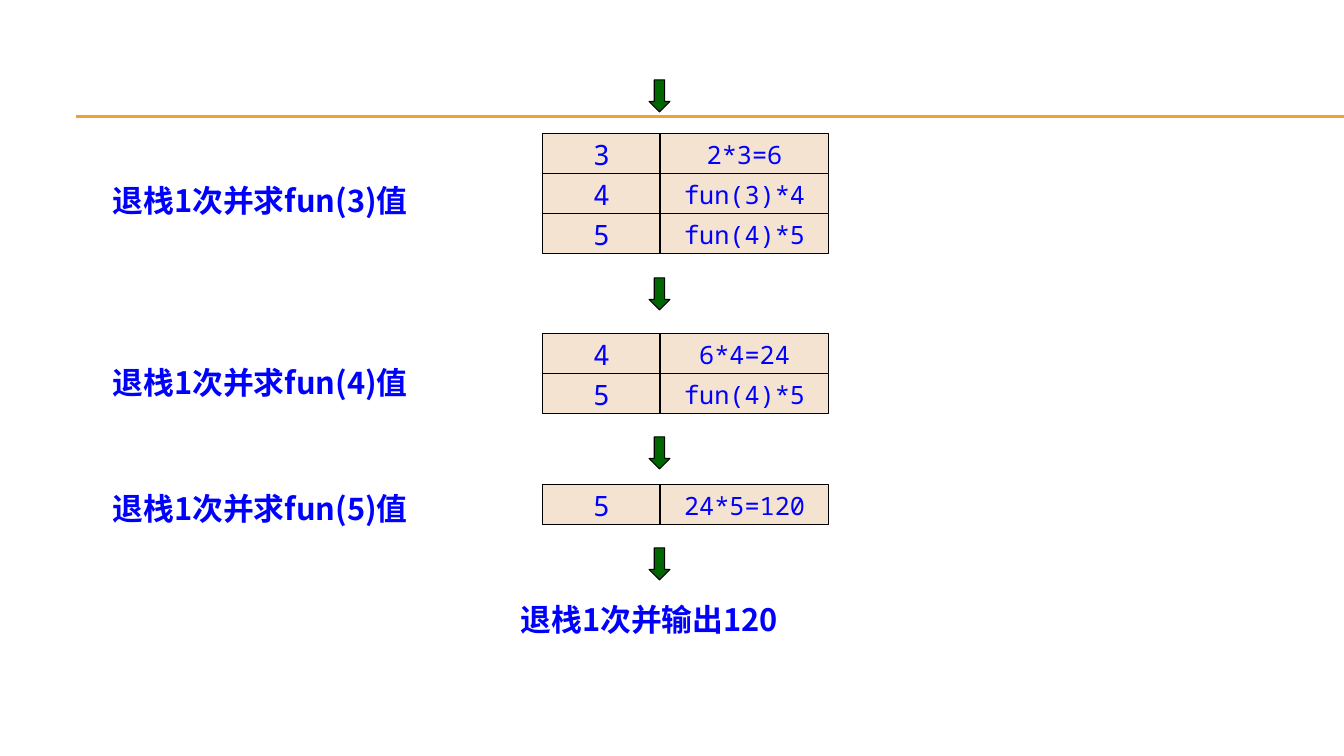
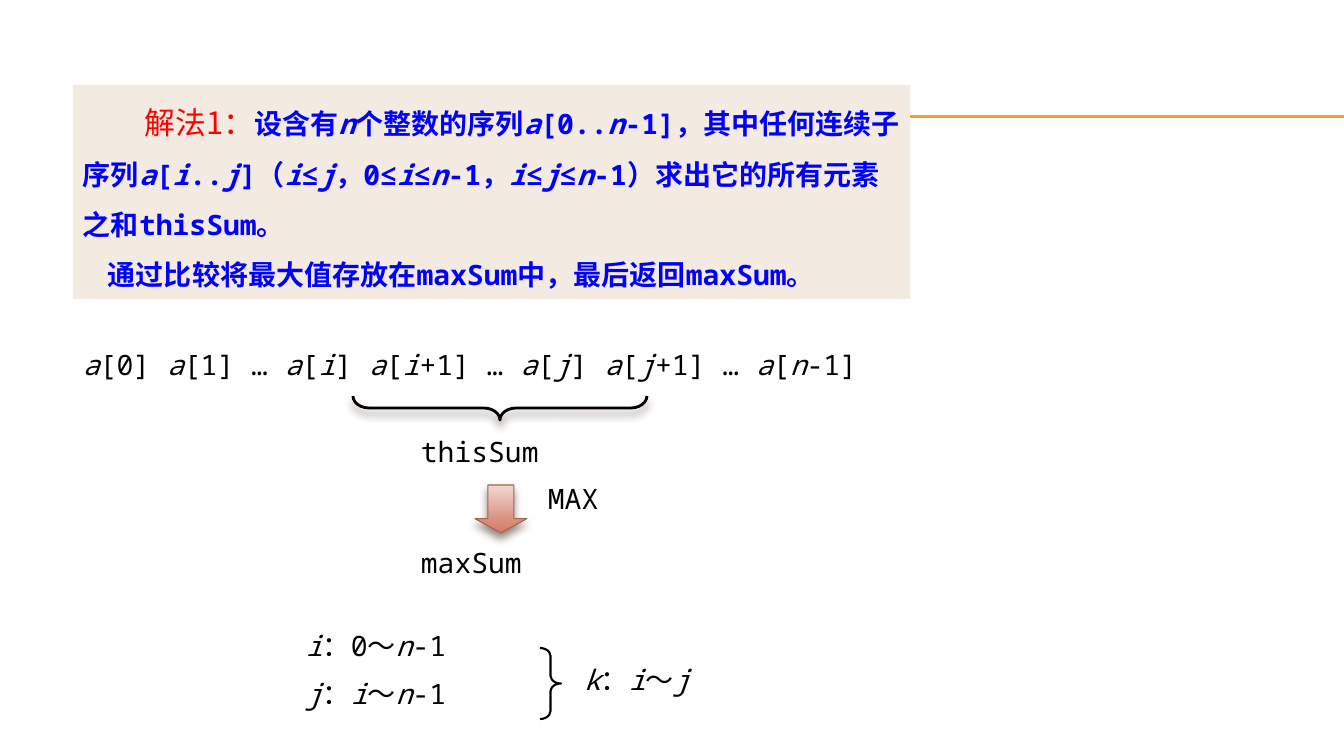
"""Builds two slides: unwinding a recursion stack, and the maximum subsequence sum."""
from copy import deepcopy

from lxml import etree
from pptx import Presentation
from pptx import util as u
from pptx.dml.color import RGBColor
from pptx.enum import shapes, text
from pptx.oxml.ns import qn

EMU_PER_PX = 914400 / 100.8
SLIDE_W, SLIDE_H = 1344, 756
SANS, MONO = "Noto Sans CJK SC", "Noto Sans Mono"
BLUE = RGBColor(0x00, 0x00, 0xFF)
RED = RGBColor(0xFF, 0x00, 0x00)
BLACK = RGBColor(0x00, 0x00, 0x00)
GREEN = RGBColor(0x00, 0x66, 0x00)
GOLD = RGBColor(0xF0, 0xA2, 0x2E)
CELL_FILL = RGBColor(0xF5, 0xE3, 0xD1)
PANEL_FILL = RGBColor(0xF3, 0xEA, 0xE2)
RUST = RGBColor(0xA5, 0x64, 0x4E)
RUST_STOPS = [(0, RGBColor(0xF1, 0xD9, 0xD4)),
              (0.72, RGBColor(0xD8, 0x91, 0x80)),
              (1, RGBColor(0xD4, 0x7A, 0x62))]
SHADOW = RGBColor(0x4E, 0x3B, 0x30)
SHAPE = shapes.MSO_SHAPE


def px(n):
    """Turn pixels into EMU."""
    return u.Emu(round(n * EMU_PER_PX))


def add_run(p, content, size, color, font=MONO, bold=False, italic=False):
    """Add one formatted run, with the CJK font for East Asian characters."""
    r = p.add_run()
    r.text = content
    f = r.font
    f.size, f.bold, f.italic, f.name = u.Pt(size), bold, italic, font
    f.color.rgb = color
    latin = r._r.get_or_add_rPr().find(qn("a:latin"))
    ea = etree.Element(qn("a:ea"), typeface=SANS)
    latin.addnext(ea)


def add_marked(p, content, color, bold=False):
    """Add 20 pt code-style runs; parts between underscores are italic."""
    for i, part in enumerate(content.split("_")):
        if part:
            add_run(p, part, 20, color, bold=bold, italic=i % 2 == 1)


def add_box(s, x, y, w, h):
    """Add a wrapping text box that grows with its text."""
    sp = s.shapes.add_textbox(px(x), px(y), px(w), px(h))
    sp.text_frame.word_wrap = True
    sp.text_frame.auto_size = text.MSO_AUTO_SIZE.SHAPE_TO_FIT_TEXT
    return sp


def add_caption(s, x, y, w, content):
    """Add a bold blue step caption."""
    tf = add_box(s, x, y, w, 47).text_frame
    add_run(tf.paragraphs[0], content, 22, BLUE, SANS, bold=True)


def add_formula(s, x, y, w, h, *lines):
    """Add black code-style lines with variables in italics."""
    tf = add_box(s, x, y, w, h).text_frame
    for i, content in enumerate(lines):
        p = tf.add_paragraph() if i else tf.paragraphs[0]
        if i:
            p.space_before = u.Pt(10)
        add_marked(p, content, BLACK)


def add_outline(s, kind, x, y, w, h, color=BLACK, weight=0.75, fill=None, adj=()):
    """Add a preset shape with a line and an optional solid fill."""
    sp = s.shapes.add_shape(kind, px(x), px(y), px(w), px(h))
    sp.shadow.inherit = False
    sp.line.color.rgb, sp.line.width = color, u.Pt(weight)
    if fill is None:
        sp.fill.background()
    else:
        sp.fill.solid()
        sp.fill.fore_color.rgb = fill
    for i, value in enumerate(adj):
        sp.adjustments[i] = value
    return sp


def add_soft_shadow(sp):
    """Give a shape a soft shadow straight below it."""
    effects = sp.element.spPr.find(qn("a:effectLst"))
    outer = etree.SubElement(effects, qn("a:outerShdw"), blurRad=str(u.Pt(6)),
                             dist=str(u.Pt(4)), dir="5400000", rotWithShape="0")
    color = etree.SubElement(outer, qn("a:srgbClr"), val=str(SHADOW))
    etree.SubElement(color, qn("a:alpha"), val="60000")


def fill_gradient(sp, stops):
    """Fill a shape from top to bottom with three colour stops."""
    sp.fill.gradient()
    sp.fill.gradient_angle = 270
    gs_list = sp.element.spPr.find(qn("a:gradFill")).find(qn("a:gsLst"))
    gs_list.append(deepcopy(gs_list[-1]))
    for stop, (position, color) in zip(sp.fill.gradient_stops, stops):
        stop.position, stop.color.rgb = position, color


def add_stack(s, top, frames):
    """Add a stack of two-cell frames: argument and expression."""
    columns = [(543, 117, 20), (660, 169, 18)]
    for row, frame in enumerate(frames):
        for (x, w, size), content in zip(columns, frame):
            sp = add_outline(s, SHAPE.RECTANGLE, x, top + 40 * row, w, 40, fill=CELL_FILL)
            tf = sp.text_frame
            tf.word_wrap = False
            tf.vertical_anchor = text.MSO_ANCHOR.MIDDLE
            p = tf.paragraphs[0]
            p.alignment = text.PP_ALIGN.CENTER
            add_run(p, content, size, BLUE)


def add_master_rule(prs, s):
    """Draw the double gold rule and move it to the slide master."""
    for i, y in enumerate((116, 117)):
        line = s.shapes.add_connector(shapes.MSO_CONNECTOR.STRAIGHT,
                                      px(76), px(y), px(SLIDE_W), px(y))
        line.line.color.rgb, line.line.width = GOLD, u.Pt(0.75)
        etree.SubElement(line.element.spPr, qn("a:effectLst"))
        line.element.nvCxnSpPr.cNvPr.id = 20 + i
        prs.slide_master.shapes.element.append(line.element)


def build_stack_slide(s):
    """Show the stack being popped until the result is printed."""
    stacks = [
        (134, 177, "退栈1次并求fun(3)值", [("3", "2*3=6"), ("4", "fun(3)*4"), ("5", "fun(4)*5")]),
        (334, 359, "退栈1次并求fun(4)值", [("4", "6*4=24"), ("5", "fun(4)*5")]),
        (485, 485, "退栈1次并求fun(5)值", [("5", "24*5=120")]),
    ]
    for top, caption_top, caption, frames in stacks:
        add_stack(s, top, frames)
        add_caption(s, 103, caption_top, 430, caption)
    add_caption(s, 511, 596, 317, "退栈1次并输出120")
    for y in (80, 278, 437, 548):
        add_outline(s, SHAPE.DOWN_ARROW, 649, y, 21, 32, fill=GREEN, adj=(0.5, 0.5))


def build_solution_slide(s):
    """Explain the brute-force solution and sketch its loops."""
    panel = add_box(s, 73, 85, 837, 214)
    panel.fill.solid()
    panel.fill.fore_color.rgb = PANEL_FILL
    tf = panel.text_frame
    idea, result = tf.paragraphs[0], tf.add_paragraph()
    for p, indent in ((idea, 62), (result, 25)):
        p.line_spacing = u.Pt(36)
        pPr = p._p.get_or_add_pPr()
        pPr.set("marL", "0")
        pPr.set("indent", str(px(indent)))
    add_run(idea, "解法1：", 22, RED, SANS)
    add_marked(idea, "设含有_n_个整数的序列_a_[0.._n_-1]，其中任何连续子序列_a_[_i_.._j_]"
               "（_i_≤_j_，0≤_i_≤_n_-1，_i_≤_j_≤_n_-1）求出它的所有元素之和thisSum。", BLUE, bold=True)
    add_marked(result, "通过比较将最大值存放在maxSum中，最后返回maxSum。", BLUE, bold=True)

    add_formula(s, 73, 343, 994, 44,
                "_a_[0] _a_[1] … _a_[_i_] _a_[_i_+1] … _a_[_j_] _a_[_j_+1] … _a_[_n_-1]")
    brace = add_outline(s, SHAPE.LEFT_BRACE, 488, 261, 24, 294, weight=2, adj=(0.67, 0.5))
    brace.rotation = 270
    add_soft_shadow(brace)
    add_formula(s, 411, 430, 223, 44, "thisSum")
    arrow = add_outline(s, SHAPE.DOWN_ARROW, 475, 485, 52, 48, RUST, 0.79, adj=(0.5, 0.3))
    fill_gradient(arrow, RUST_STOPS)
    add_soft_shadow(arrow)
    add_formula(s, 411, 541, 243, 44, "maxSum")
    add_formula(s, 538, 477, 138, 44, "MAX")

    add_formula(s, 296, 624, 254, 95, "_i_：0～_n_-1", "_j_：_i_～_n_-1")
    add_outline(s, SHAPE.RIGHT_BRACE, 540, 648, 21, 71, weight=1.5, adj=(0.37, 0.5))
    add_formula(s, 574, 658, 233, 44, "_k_：_i_～_j_")


def main():
    """Build and save the presentation."""
    prs = Presentation()
    prs.slide_width, prs.slide_height = px(SLIDE_W), px(SLIDE_H)
    blank = prs.slide_layouts[6]
    for i, build in enumerate((build_stack_slide, build_solution_slide)):
        s = prs.slides.add_slide(blank)
        if i == 0:
            add_master_rule(prs, s)
        build(s)
    prs.save("out.pptx")


if __name__ == "__main__":
    main()
